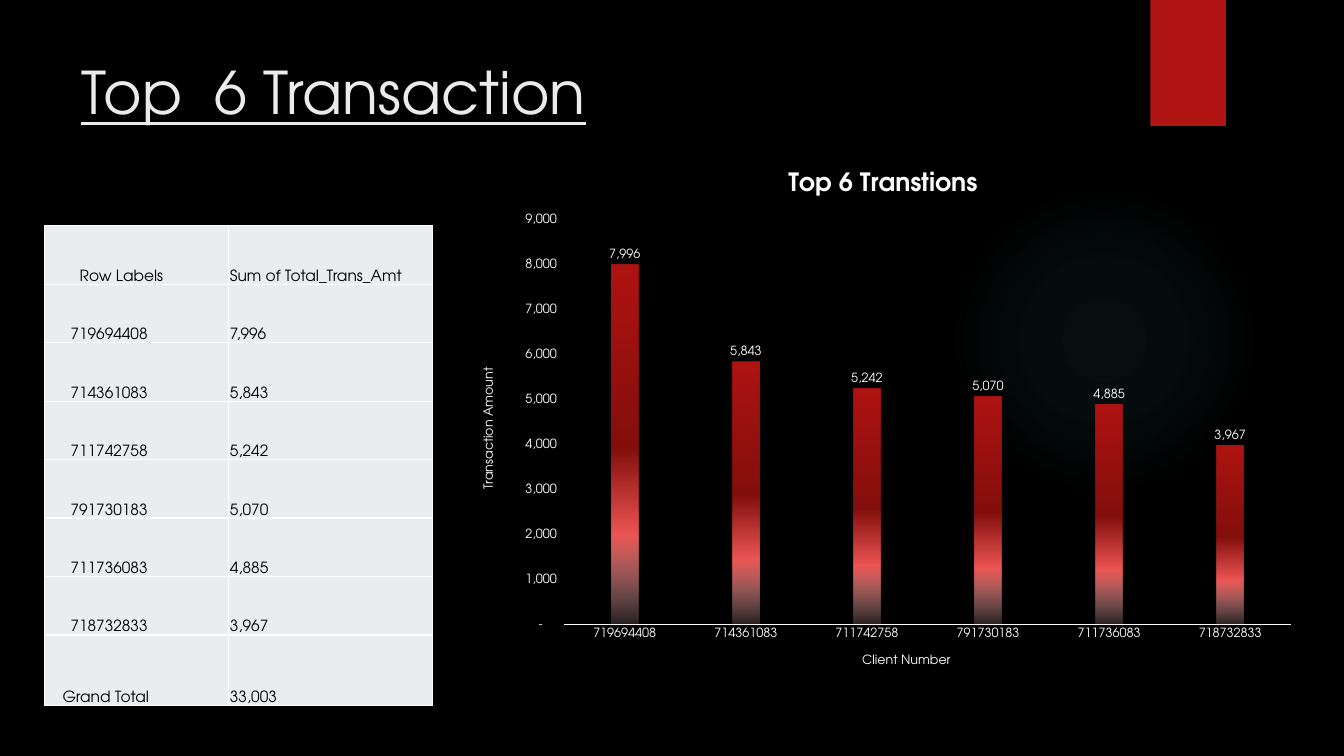
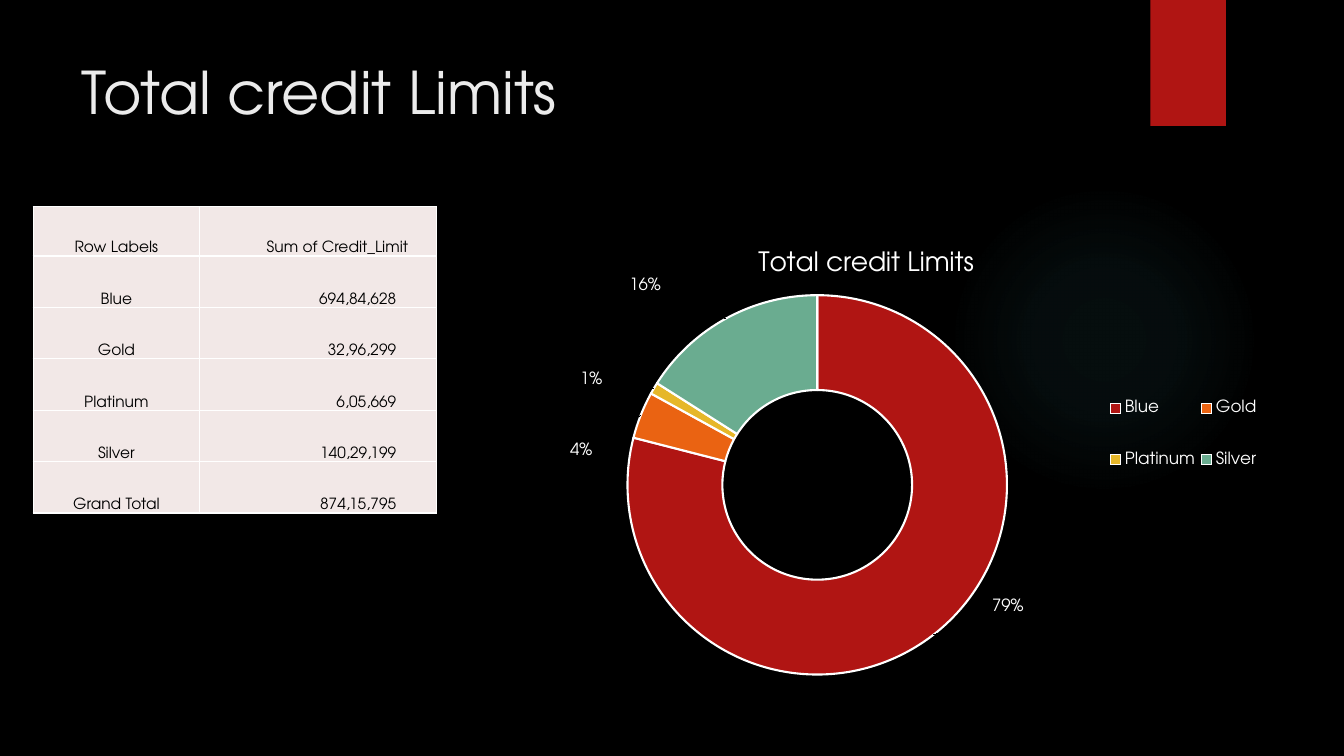
from pptx import Presentation
from pptx import util as u
from pptx.chart.data import CategoryChartData
from pptx.dml.color import RGBColor
from pptx.enum import chart as kinds, shapes, text
from pptx.oxml import parse_xml
from pptx.oxml.ns import nsdecls, qn

FONT = "TeX Gyre Adventor"
BLACK, WHITE, PALE, RED, TEAL = "000000", "FFFFFF", "EBEBEB", "B01513", "50B9C1"
LEFT, MID, RIGHT = text.PP_ALIGN.LEFT, text.PP_ALIGN.CENTER, text.PP_ALIGN.RIGHT
COMMAS = '_ * #,##0_ ;_ * \\-#,##0_ ;_ * "-"??_ ;_ '


def tint(code):
    return RGBColor.from_string(code)


def style(font, size, color=WHITE, bold=False, line=False):
    font.name, font.size, font.color.rgb = FONT, u.Pt(size), tint(color)
    font.bold, font.underline = bold, line


def write(frame, words, align=LEFT, **look):
    par = frame.paragraphs[0]
    par.alignment = align
    run = par.add_run()
    run.text = words
    style(run.font, **look)


def blend(prop, stops, way):
    """Replace the fill with a gradient of (place, colour, opacity) stops."""
    for tag in ("a:solidFill", "a:gradFill", "a:noFill"):
        for old in prop.findall(qn(tag)):
            prop.remove(old)
    marks = "".join(
        f'<a:gs pos="{pos * 1000}"><a:srgbClr val="{code}">'
        f'<a:alpha val="{alpha * 1000}"/></a:srgbClr></a:gs>'
        for pos, code, alpha in stops)
    fill = parse_xml(f'<a:gradFill {nsdecls("a")} rotWithShape="1">'
                     f'<a:gsLst>{marks}</a:gsLst>{way}</a:gradFill>')
    shape = prop.find(qn("a:prstGeom"))
    prop.insert(0 if shape is None else prop.index(shape) + 1, fill)


def place(node, x, y, w=None, h=None, inner=False, shift=False):
    """Give a chart part a manual layout, in fractions of the chart."""
    for old in node.findall(qn("c:layout")):
        node.remove(old)
    parts = '<c:layoutTarget val="inner"/>' if inner else ""
    if not shift:
        parts += '<c:xMode val="edge"/><c:yMode val="edge"/>'
    parts += f'<c:x val="{x}"/><c:y val="{y}"/>'
    if w:
        parts += f'<c:w val="{w}"/><c:h val="{h}"/>'
    spot = 0
    for tag in ("c:tx", "c:legendPos", "c:idx"):
        lead = node.find(qn(tag))
        if lead is not None:
            spot = node.index(lead) + 1
    node.insert(spot, parse_xml(
        f'<c:layout {nsdecls("c")}><c:manualLayout>{parts}'
        '</c:manualLayout></c:layout>'))


class Deck:
    def __init__(self):
        self.file = Presentation()
        self.file.slide_width = u.Inches(13.33)
        self.file.slide_height = u.Inches(7.5)
        self.page = None

    def start(self, title, line=False):
        """New slide with background, glow, red tab and title."""
        self.page = self.file.slides.add_slide(self.file.slide_layouts[6])
        back = self.page.background.fill
        back.solid()
        back.fore_color.rgb = tint(BLACK)
        glow = self.shape(shapes.MSO_SHAPE.OVAL, 9.41, 1.83, 3.08, 3.08, TEAL)
        blend(glow.element.spPr, [(0, TEAL, 7), (36, TEAL, 6), (69, TEAL, 0)],
              '<a:path path="circle"><a:fillToRect l="50000" t="50000" '
              'r="50000" b="50000"/></a:path>')
        self.shape(shapes.MSO_SHAPE.RECTANGLE, 11.41, 0, 0.75, 1.25, RED)
        box = self.page.shapes.add_textbox(
            *map(u.Inches, (0.71, 0.5, 10.29, 1.53))).text_frame
        box.word_wrap = True
        write(box, title, size=42, color=PALE, line=line)

    def shape(self, kind, x, y, w, h, color):
        item = self.page.shapes.add_shape(kind, *map(u.Inches, (x, y, w, h)))
        item.shadow.inherit = False
        item.fill.solid()
        item.fill.fore_color.rgb = tint(color)
        item.line.fill.background()
        return item

    def table(self, x, y, cols, highs, rows, color, aligns, pads):
        """Pads hold a (left, right) margin for each cell of each row."""
        grid = self.page.shapes.add_table(
            len(rows), len(cols),
            *map(u.Inches, (x, y, sum(cols), sum(highs)))).table
        for col, wide in zip(grid.columns, cols):
            col.width = u.Inches(wide)
        for r, row in enumerate(rows):
            grid.rows[r].height = u.Inches(highs[r])
            for c, words in enumerate(row):
                self.cell(grid.cell(r, c), words, color, aligns[c], *pads[r][c])

    def cell(self, cell, words, color, align, left, right):
        cell.margin_left, cell.margin_right = u.Inches(left), u.Inches(right)
        cell.margin_top, cell.margin_bottom = u.Inches(0.01), 0
        cell.vertical_anchor = text.MSO_ANCHOR.BOTTOM
        prop = cell._tc.get_or_add_tcPr()
        for side in "LRTB":
            prop.append(parse_xml(
                f'<a:ln{side} {nsdecls("a")} w="12700"><a:solidFill>'
                f'<a:srgbClr val="{WHITE}"/></a:solidFill></a:ln{side}>'))
        cell.fill.solid()
        cell.fill.fore_color.rgb = tint(color)
        write(cell.text_frame, words, align, size=11, color=BLACK)

    def chart(self, kind, area, cats, vals, title, spot, plot, **look):
        data = CategoryChartData()
        data.categories = cats
        data.add_series("Series 1", vals)
        chart = self.page.shapes.add_chart(
            kind, *map(u.Inches, area), data).chart
        style(chart.font, 10)
        chart.has_legend = False
        self.head(chart, "chart_title", title, spot, **look)
        place(chart.element.find(".//" + qn("c:plotArea")), *plot, inner=True)
        return chart

    def head(self, owner, name, words, spot, **look):
        """Title of a chart or of an axis."""
        owner.has_title = True
        title = getattr(owner, name)
        write(title.text_frame, words, MID, **look)
        place(title._element, *spot)

    def axis(self, axis, words, spot):
        axis.has_major_gridlines = False
        axis.major_tick_mark = kinds.XL_TICK_MARK.NONE
        style(axis.tick_labels.font, 9)
        self.head(axis, "axis_title", words, spot, size=9)

    def labels(self, series, size, form):
        labels = series.data_labels
        style(labels.font, size)
        labels.number_format, labels.number_format_is_linked = form, False
        return labels

    def bars(self, area, cats, vals):
        chart = self.chart(
            kinds.XL_CHART_TYPE.COLUMN_CLUSTERED, area, cats, vals,
            "Top 6 Transtions", (0.38, 0.03), (0.12, 0.13, 0.86, 0.75),
            size=18, bold=True)
        plot = chart.plots[0]
        plot.gap_width, plot.overlap, plot.vary_by_categories = 355, -70, False
        # Bars
        bar = plot.series[0]
        bar.format.fill.solid()
        blend(bar._element.spPr,
              [(0, RED, 100), (51, "84100E", 100), (75, "ED5654", 100),
               (100, "F9C7C6", 15)], '<a:lin ang="5400000" scaled="0"/>')
        labels = self.labels(bar, 9, "#,##0")
        labels.show_value = True
        labels.position = kinds.XL_LABEL_POSITION.OUTSIDE_END
        # Axes
        base, side = chart.category_axis, chart.value_axis
        self.axis(base, "Client Number", (0.47, 0.93))
        base.format.line.color.rgb = tint(WHITE)
        base.format.line.width = u.Pt(0.75)
        self.axis(side, "Transaction Amount", (0.02, 0.4))
        side.format.line.fill.background()
        side.minimum_scale, side.maximum_scale, side.major_unit = 0, 9000, 1000
        side.tick_labels.number_format = COMMAS
        side.tick_labels.number_format_is_linked = False

    def ring(self, area, cats, vals, colors, moves):
        chart = self.chart(
            kinds.XL_CHART_TYPE.DOUGHNUT, area, cats, vals,
            "Total credit Limits", (0.36, 0.04), (0.2, 0.15, 0.48, 0.82),
            size=19)
        chart.element.find(".//" + qn("c:holeSize")).set("val", "75")
        # Slices
        series = chart.plots[0].series[0]
        for i, color in enumerate(colors):
            look = series.points[i].format
            look.fill.solid()
            look.fill.fore_color.rgb = tint(color)
            look.line.color.rgb = tint(WHITE)
            look.line.width = u.Pt(1.5)
        # Labels moved out of the ring
        labels = self.labels(series, 12, "0%")
        labels.show_value, labels.show_percentage = False, True
        flags = "".join(
            f'<c:show{name} val="{int(name == "Percent")}"/>' for name in
            ("LegendKey", "Val", "CatName", "SerName", "Percent", "BubbleSize"))
        for i, move in enumerate(moves):
            label = parse_xml(f'<c:dLbl {nsdecls("c")}><c:idx val="{i}"/>'
                              f'{flags}</c:dLbl>')
            place(label, *move, shift=True)
            labels._element.insert(i, label)
        # Legend
        chart.has_legend = True
        chart.legend.position = kinds.XL_LEGEND_POSITION.RIGHT
        chart.legend.include_in_layout = False
        style(chart.legend.font, 12)
        place(chart.legend._element, 0.8, 0.3, 0.2, 0.3)


def main():
    deck = Deck()
    slim = (0.01, 0.01)

    # Top transactions
    names = ["719694408", "714361083", "711742758",
             "791730183", "711736083", "718732833"]
    sums = [7996, 5843, 5242, 5070, 4885, 3967]
    deck.start("Top  6 Transaction", line=True)
    deck.bars((4.59, 1.48, 8.38, 5.36), names, sums)
    rows = [("Row Labels", "Sum of Total_Trans_Amt"),
            *((name, f"{val:,}") for name, val in zip(names, sums)),
            ("Grand Total", f"{sum(sums):,}")]
    pads = [((left, 0.01), slim) for left in [0.35] + [0.26] * 6 + [0.18]]
    deck.table(0.44, 2.24, (1.83, 2.02), [0.58] * 7 + [0.7], rows,
               "E9EDEF", (LEFT, LEFT), pads)

    # Credit limits
    cards = ["Blue", "Gold", "Platinum", "Silver"]
    deck.start("Total credit Limits")
    deck.ring((4.63, 2.24, 7.9, 4.59), cards, [79, 4, 1, 16],
              [RED, "EA6312", "E6B729", "6AAC90"],
              [(0.13, 0.02), (-0.13, 0.04), (-0.13, -0.07), (-0.13, -0.16)])
    rows = list(zip(
        ["Row Labels", *cards, "Grand Total"],
        ["Sum of Credit_Limit", "694,84,628", "32,96,299", "6,05,669",
         "140,29,199", "874,15,795"]))
    pads = [(slim, (0.01, right)) for right in [0.28] + [0.4] * 5]
    deck.table(0.33, 2.05, (1.65, 2.35), [0.49] + [0.51] * 5, rows,
               "F2E8E7", (MID, RIGHT), pads)

    deck.file.save("out.pptx")


if __name__ == "__main__":
    main()
